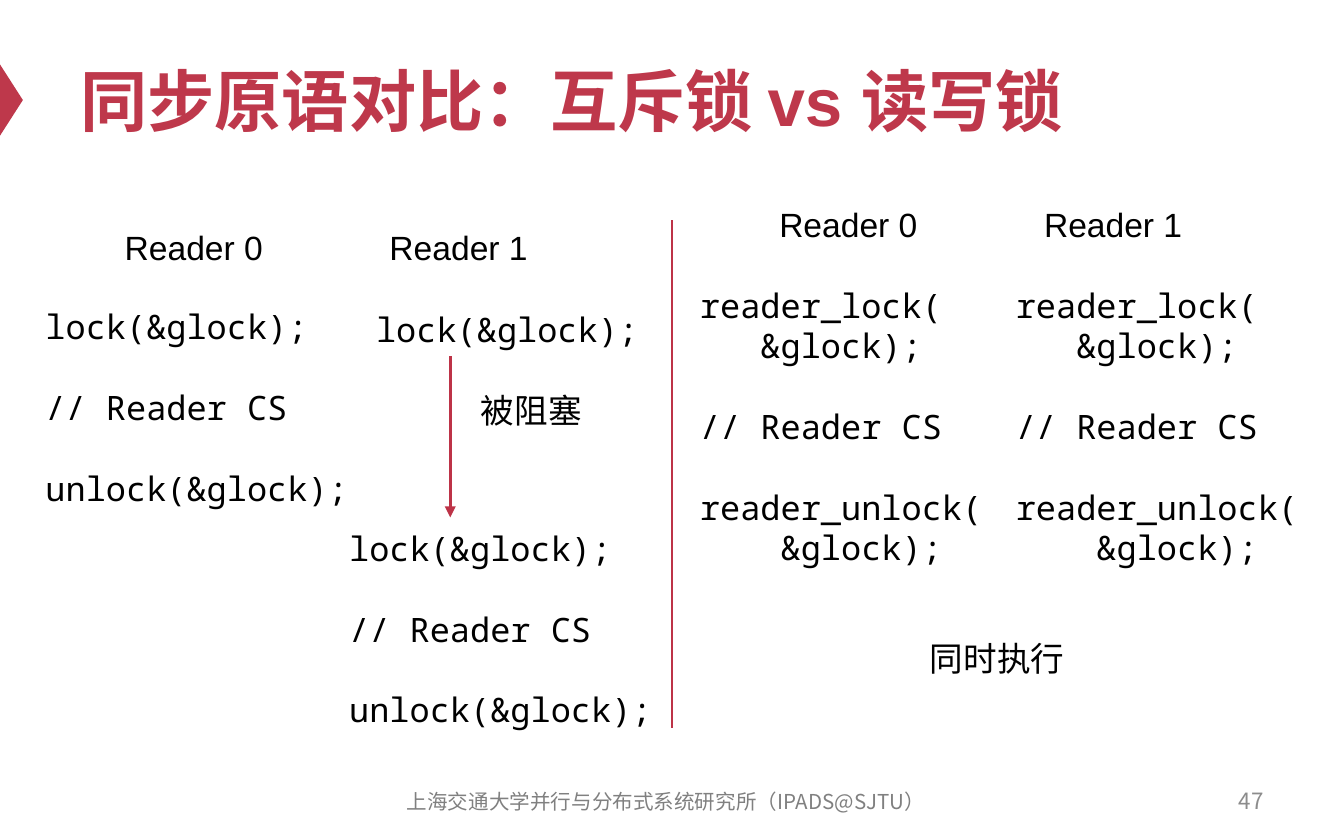
from lxml import etree
from pptx import Presentation
from pptx.dml.color import RGBColor
from pptx.enum import shapes, text
from pptx.oxml.ns import qn
from pptx.util import Inches, Pt

TITLE_RED = RGBColor(0xBE, 0x38, 0x4B)
LINE_RED = RGBColor(0xBD, 0x33, 0x47)
BLACK = RGBColor(0, 0, 0)
FOOTER_GRAY = RGBColor(0x80, 0x80, 0x80)
NUMBER_GRAY = RGBColor(0x8C, 0x8C, 0x8C)
SANS, CJK, MONO = "Arial", "Noto Sans CJK SC", "Noto Sans Mono"
LINE_PITCH = Pt(21.6)

MUTEX_CODE = [["lock(&glock);"], ["// Reader CS"], ["unlock(&glock);"]]
RWLOCK_CODE = [
    ["reader_lock(", "   &glock);"],
    ["// Reader CS"],
    ["reader_unlock(", "    &glock);"],
]


def style_run(r, font, size, color, bold=False):
    r.font.name = font
    r.font.size = Pt(size)
    r.font.color.rgb = color
    r.font.bold = bold
    if font == CJK:
        etree.SubElement(r.font._element, qn("a:ea")).set("typeface", font)


def add_text(s, content, left, top, width, height, font=SANS, size=18,
             color=BLACK, bold=False, align=None, anchor=None, wrap=False):
    sp = s.shapes.add_textbox(Inches(left), Inches(top), Inches(width), Inches(height))
    tf = sp.text_frame
    tf.word_wrap = wrap
    if anchor is not None:
        tf.vertical_anchor = anchor
    p = tf.paragraphs[0]
    p.text = content
    p.alignment = align
    style_run(p.runs[0], font, size, color, bold)


def add_code(s, steps, left, top, width, height):
    sp = s.shapes.add_textbox(Inches(left), Inches(top), Inches(width), Inches(height))
    tf = sp.text_frame
    tf.word_wrap = False
    tf.text = "\n".join(line for step in steps for line in step)
    starts = {sum(len(step) for step in steps[:i]) for i in range(1, len(steps))}
    for i, p in enumerate(tf.paragraphs):
        p.line_spacing = LINE_PITCH
        if i in starts:
            p.space_before = LINE_PITCH
        style_run(p.runs[0], MONO, 18, BLACK)


def add_line(s, x, top, bottom, arrow=False):
    cx = s.shapes.add_connector(shapes.MSO_CONNECTOR.STRAIGHT, Inches(x),
                                Inches(top), Inches(x), Inches(bottom))
    cx.line.color.rgb = LINE_RED
    cx.line.width = Pt(1.5)
    if arrow:
        etree.SubElement(cx.line._get_or_add_ln(), qn("a:tailEnd")).set("type", "triangle")
    etree.SubElement(cx._element.spPr, qn("a:effectLst"))


def add_marker(s):
    sp = s.shapes.add_shape(shapes.MSO_SHAPE.ISOSCELES_TRIANGLE, Inches(-0.18),
                            Inches(0.66), Inches(0.53), Inches(0.17))
    sp.rotation = 90
    sp.shadow.inherit = False
    sp.fill.solid()
    sp.fill.fore_color.rgb = TITLE_RED
    sp.line.fill.background()


def add_reader_names(s, left, top):
    for i in range(2):
        add_text(s, f"Reader {i}", left + 1.97 * i, top, 1.24, 0.4)


def add_frame(s):
    middle = text.MSO_ANCHOR.MIDDLE
    add_marker(s)
    add_text(s, "同步原语对比：互斥锁 vs 读写锁", 0.5, 0.25, 9, 0.98, size=36,
             color=TITLE_RED, bold=True, anchor=middle, wrap=True)
    add_text(s, "上海交通大学并行与分布式系统研究所（IPADS@SJTU）", 2.79, 5.8, 4.33, 0.33,
             CJK, 11, FOOTER_GRAY, align=text.PP_ALIGN.CENTER, anchor=middle, wrap=True)
    add_text(s, "47", 7.17, 5.79, 2.33, 0.33, CJK, 12, NUMBER_GRAY,
             align=text.PP_ALIGN.RIGHT, anchor=middle, wrap=True)


def add_mutex_side(s):
    add_reader_names(s, 0.83, 1.64)
    add_code(s, MUTEX_CODE, 0.24, 2.23, 2.46, 1.62)
    add_code(s, MUTEX_CODE, 2.5, 3.88, 2.46, 1.62)
    add_code(s, MUTEX_CODE[:1], 2.7, 2.25, 2.16, 0.4)
    add_line(s, 3.35, 2.65, 3.85, arrow=True)
    add_text(s, "被阻塞", 3.48, 2.85, 0.96, 0.4)


def add_rwlock_side(s):
    add_reader_names(s, 5.7, 1.47)
    for left in (5.11, 7.46):
        add_code(s, RWLOCK_CODE, left, 2.07, 2.31, 2.22)
    add_text(s, "同时执行", 6.82, 4.7, 1.21, 0.4)


def main():
    prs = Presentation()
    prs.slide_width = Inches(10)
    prs.slide_height = Inches(6.25)
    s = prs.slides.add_slide(prs.slide_layouts[6])
    add_frame(s)
    add_line(s, 5, 1.64, 5.42)
    add_mutex_side(s)
    add_rwlock_side(s)
    prs.save("out.pptx")


if __name__ == "__main__":
    main()
